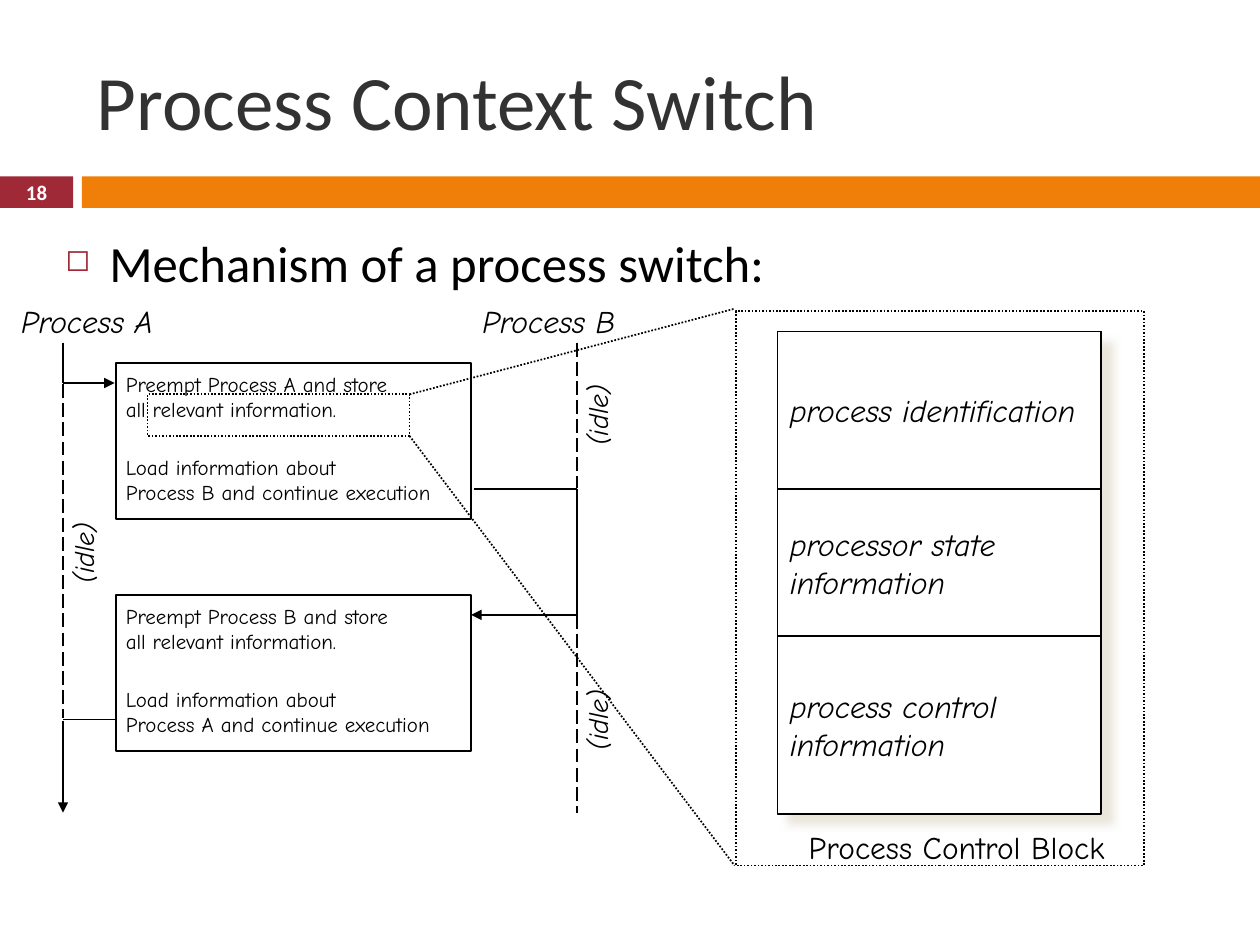
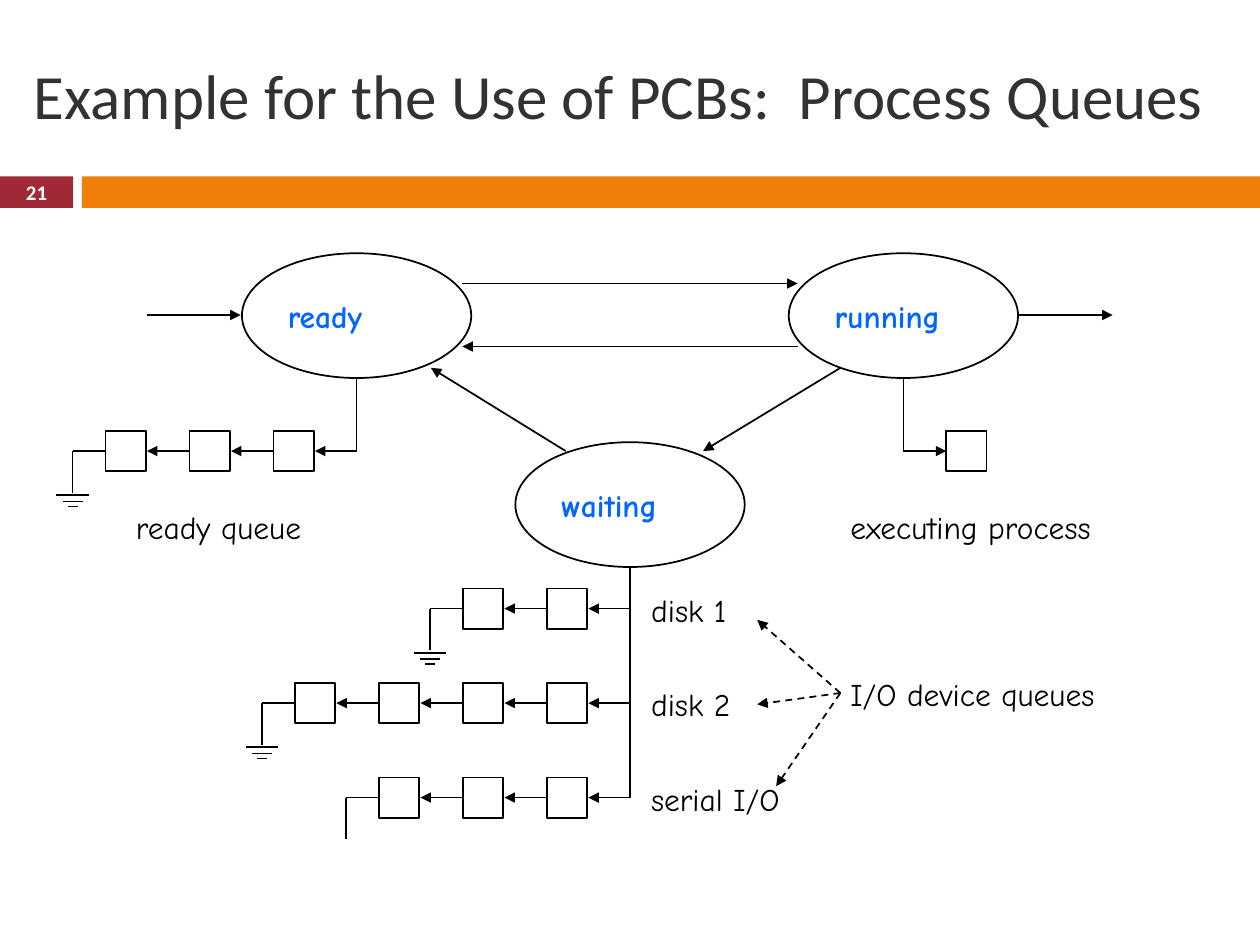
from dataclasses import dataclass

from lxml import etree
from pptx import Presentation
from pptx.dml.color import RGBColor
from pptx.enum.dml import MSO_LINE
from pptx.enum.shapes import MSO_CONNECTOR, MSO_SHAPE
from pptx.enum.text import MSO_ANCHOR, PP_ALIGN
from pptx.oxml.ns import qn
from pptx.util import Inches, Pt

RECT, OVAL = MSO_SHAPE.RECTANGLE, MSO_SHAPE.OVAL
STRAIGHT = MSO_CONNECTOR.STRAIGHT
LONG_DASH, DASH, DOT = MSO_LINE.LONG_DASH, MSO_LINE.DASH, MSO_LINE.ROUND_DOT
TOP, MIDDLE = MSO_ANCHOR.TOP, MSO_ANCHOR.MIDDLE
LEFT, CENTER = PP_ALIGN.LEFT, PP_ALIGN.CENTER


@dataclass(frozen=True)
class Theme:
    heading_font: str = "Calibri"
    diagram_font: str = "Comic Neue"
    ink: str = "000000"
    paper: str = "FFFFFF"
    title: str = "323232"
    red: str = "9F2936"
    orange: str = "F07F09"
    state: str = "0066FF"
    shadow: str = "E3DED1"
    title_size: float = 44
    long_title_size: float = 36
    bullet_size: float = 29
    label_size: float = 18
    idle_size: float = 16
    step_size: float = 12
    number_size: float = 11.9
    line_width: float = 1


THEME = Theme()


def rgb(code):
    return RGBColor.from_string(code)


def add_xml(parent, tag, **attributes):
    return etree.SubElement(parent, qn(tag), attributes)


def write(frame, text, size=THEME.label_size, font=THEME.diagram_font, color=THEME.ink,
          bold=False, italic=False, align=LEFT, anchor=TOP, wrap=True):
    """Fill a text frame, one paragraph for each line of text."""
    frame.word_wrap = wrap
    frame.vertical_anchor = anchor
    for i, line in enumerate(text.split("\n")):
        paragraph = frame.add_paragraph() if i else frame.paragraphs[0]
        paragraph.alignment = align
        run = paragraph.add_run()
        run.text = line
        run.font.name, run.font.size = font, Pt(size)
        run.font.bold, run.font.italic = bold, italic
        run.font.color.rgb = rgb(color)


class Deck:
    def __init__(self, theme):
        self.theme = theme
        self.prs = Presentation()
        self.prs.slide_width, self.prs.slide_height = Inches(10), Inches(7.5)
        self.slide = None

    def new_slide(self, title, number, box, size):
        """Start a slide with its bands, page number and title."""
        theme = self.theme
        self.slide = self.prs.slides.add_slide(self.prs.slide_layouts[6])
        self.shape(0, 1.4, 0.58, 0.25, fill=theme.red, line=None, text=str(number),
                   size=theme.number_size, font=theme.heading_font, color=theme.paper,
                   bold=True, align=CENTER)
        self.shape(0.65, 1.4, 9.35, 0.25, fill=theme.orange, line=None)
        self.text(*box, title, size=size, font=theme.heading_font, color=theme.title,
                  anchor=MIDDLE, wrap=True)

    def shape(self, x, y, w, h, kind=RECT, fill=THEME.paper, line=THEME.ink, dash=None,
              text=None, **text_format):
        shape = self.slide.shapes.add_shape(kind, Inches(x), Inches(y), Inches(w), Inches(h))
        shape.shadow.inherit = False
        if fill:
            shape.fill.solid()
            shape.fill.fore_color.rgb = rgb(fill)
        else:
            shape.fill.background()
        if line:
            self.stroke(shape.line, line, dash)
        else:
            shape.line.fill.background()
        if text:
            write(shape.text_frame, text, anchor=MIDDLE, **text_format)
        return shape

    def stroke(self, line, color, dash):
        line.color.rgb = rgb(color)
        line.width = Pt(self.theme.line_width)
        if dash:
            line.dash_style = dash

    def text(self, x, y, w, h, text, rotation=0, wrap=False, **text_format):
        box = self.slide.shapes.add_textbox(Inches(x), Inches(y), Inches(w), Inches(h))
        box.rotation = rotation
        write(box.text_frame, text, wrap=wrap, **text_format)
        return box

    def bullet(self, x, y, w, h, text):
        box = self.text(x, y, w, h, text, size=self.theme.bullet_size,
                        font=self.theme.heading_font, wrap=True)
        paragraph = box.text_frame.paragraphs[0]
        paragraph.space_before = Pt(7)
        properties = paragraph._p.get_or_add_pPr()
        properties.set("marL", str(Inches(0.35)))
        properties.set("indent", str(-Inches(0.35)))
        add_xml(add_xml(properties, "a:buClr"), "a:srgbClr", val=self.theme.red)
        add_xml(properties, "a:buSzPct", val="60000")
        add_xml(properties, "a:buChar", char="◻")

    def line(self, x1, y1, x2, y2, dash=None, arrow=False):
        """Draw a line; an arrowhead sits at its second point."""
        line = self.slide.shapes.add_connector(
            STRAIGHT, Inches(x1), Inches(y1), Inches(x2), Inches(y2))
        self.stroke(line.line, self.theme.ink, dash)
        if arrow:
            add_xml(line.line._get_or_add_ln(), "a:tailEnd", type="triangle")
        add_xml(line._element.spPr, "a:effectLst")

    def cast_shadow(self, shape):
        effects = shape._element.spPr.find(qn("a:effectLst"))
        outer = add_xml(effects, "a:outerShdw", blurRad=str(Pt(5)), dist=str(Pt(8.5)),
                        dir=str(45 * 60000), algn="ctr", rotWithShape="0")
        color = add_xml(outer, "a:srgbClr", val=self.theme.shadow)
        add_xml(color, "a:alpha", val="75000")

    # Parts of the process diagrams
    def switch_step(self, top, old, new):
        """Box in which the system moves from one process to the other."""
        self.shape(0.92, top, 2.82, 1.24)
        for offset, text in (
            (0.02, f"Preempt Process {old} and store\nall relevant information."),
            (0.68, f"Load information about\nProcess {new} and continue execution"),
        ):
            self.text(0.9, top + offset, 2.73, 0.5, text, size=self.theme.step_size)

    def queue(self, first_left, y, count, grounded=True):
        """Chain of control blocks running left, closed by a ground symbol."""
        side, pitch = 0.32, 2 / 3
        for i in range(count):
            left = first_left - i * pitch
            self.shape(left, y - side / 2, side, side)
            self.line(left + pitch, y, left + side + 0.01, y, arrow=True)
        end = left - 0.26
        self.line(left, y, end, y)
        self.line(end, y, end, y + 0.33)
        if grounded:
            for drop, half in ((0.35, 0.13), (0.4, 0.08), (0.44, 0.04)):
                self.line(end - half, y + drop, end + half, y + drop)


def context_switch(deck):
    deck.new_slide("Process Context Switch", 18, (0.67, 0.25, 8.92, 1.08), THEME.title_size)
    deck.bullet(0.42, 1.79, 9.17, 0.65, "Mechanism of a process switch:")

    # Switch steps
    deck.switch_step(2.88, "A", "B")
    deck.switch_step(4.72, "B", "A")

    # Timelines of both processes
    a_x, b_x = 0.5, 4.58
    for x, name in ((0.07, "Process A"), (3.73, "Process B")):
        deck.text(x, 2.35, 1.3, 0.4, name, italic=True)
    deck.line(a_x, 2.72, a_x, 3.04)
    deck.line(a_x, 3.05, a_x, 5.7, dash=LONG_DASH)
    deck.line(a_x, 5.72, a_x, 6.45, arrow=True)
    deck.line(b_x, 2.72, b_x, 3.87, dash=LONG_DASH)
    deck.line(b_x, 3.88, b_x, 4.95)
    deck.line(b_x, 4.88, b_x, 6.45, dash=LONG_DASH)
    for x, y in ((4.39, 3.11), (4.39, 5.53), (0.31, 4.2)):
        deck.text(x, y, 0.69, 0.36, "(idle)", rotation=270, size=THEME.idle_size, italic=True)

    # Links between timelines and steps
    deck.line(a_x, 3.04, 0.91, 3.04, arrow=True)
    deck.line(3.76, 3.88, b_x, 3.88)
    deck.line(b_x, 4.88, 3.74, 4.88, arrow=True)
    deck.line(0.92, 5.71, a_x, 5.71)

    # Process control block
    left, top, width = 6.17, 2.63, 2.57
    deck.cast_shadow(deck.shape(left, top, width, 3.82))
    for height, text in ((1.25, "process identification"),
                         (1.17, "processor state\ninformation"),
                         (1.41, "process control\ninformation")):
        deck.shape(left, top, width, height, text=text, italic=True, wrap=False)
        top += height
    deck.text(6.32, 6.52, 2.65, 0.4, "Process Control Block")

    # Dotted zoom from the stored information to the block
    deck.shape(1.17, 3.13, 2.08, 0.33, fill=None, dash=DOT)
    deck.shape(5.84, 2.47, 3.24, 4.4, fill=None, dash=DOT)
    deck.line(3.25, 3.13, 5.83, 2.45, dash=DOT)
    deck.line(3.25, 3.46, 5.83, 6.87, dash=DOT)


def process_queues(deck):
    deck.new_slide("Example for the Use of PCBs:  Process Queues", 21,
                   (0.17, 0.33, 9.58, 0.83), THEME.long_title_size)

    # Process states
    for x, y, state in ((1.92, 2.01, "ready"), (6.26, 2.01, "running"), (4.09, 3.51, "waiting")):
        deck.shape(x, y, 1.82, 0.99, kind=OVAL, text=state, color=THEME.state,
                   bold=True, wrap=False)

    # State transitions
    for ends in ((1.17, 2.5, 1.91, 2.5), (8.09, 2.5, 8.83, 2.5),
                 (3.67, 2.25, 6.33, 2.25), (6.33, 2.75, 3.67, 2.75),
                 (6.67, 2.92, 5.58, 3.58), (4.49, 3.58, 3.42, 2.92)):
        deck.line(*ends, arrow=True)

    # Ready queue and executing process
    deck.line(2.83, 3.01, 2.83, 3.58)
    deck.queue(2.17, 3.58, 3)
    deck.text(0.98, 3.98, 1.59, 0.4, "ready queue")
    deck.line(7.17, 3.01, 7.17, 3.58)
    deck.line(7.17, 3.58, 7.51, 3.58, arrow=True)
    deck.shape(7.51, 3.42, 0.32, 0.32)
    deck.text(6.65, 3.98, 2.22, 0.4, "executing process")

    # Device queues
    deck.line(5, 4.51, 5, 6.33)
    devices = (("disk 1", 0.82, 2, True), ("disk 2", 0.87, 4, True), ("serial I/O", 1.34, 3, False))
    for i, (device, width, count, grounded) in enumerate(devices):
        y = 4.83 + i * 0.75
        deck.queue(4.34, y, count, grounded)
        deck.text(5.07, y - 0.19, width, 0.4, device)
    deck.text(6.65, 5.31, 2.27, 0.4, "I/O device queues")
    for x, y in ((6.01, 4.92), (6.01, 5.59), (6.16, 6.24)):
        deck.line(6.67, 5.5, x, y, dash=DASH, arrow=True)


def main():
    deck = Deck(THEME)
    context_switch(deck)
    process_queues(deck)
    deck.prs.save("out.pptx")


if __name__ == "__main__":
    main()
